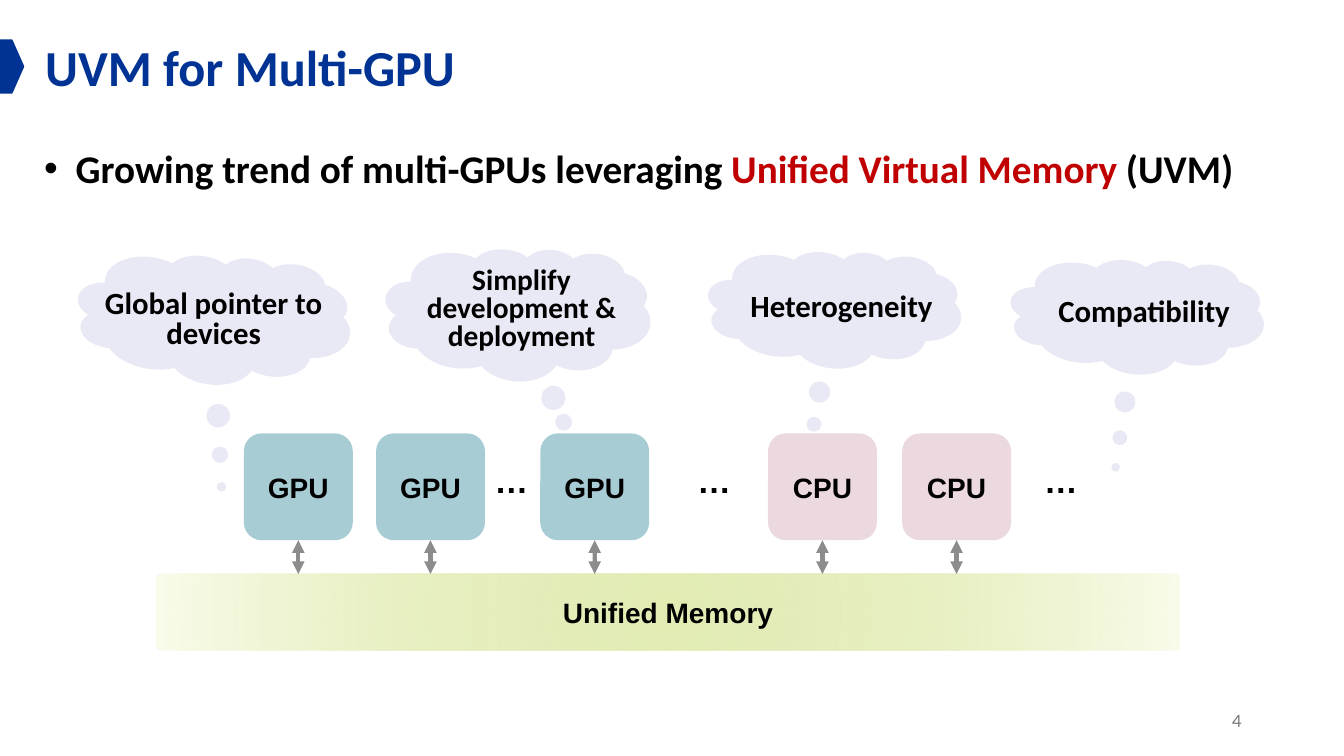
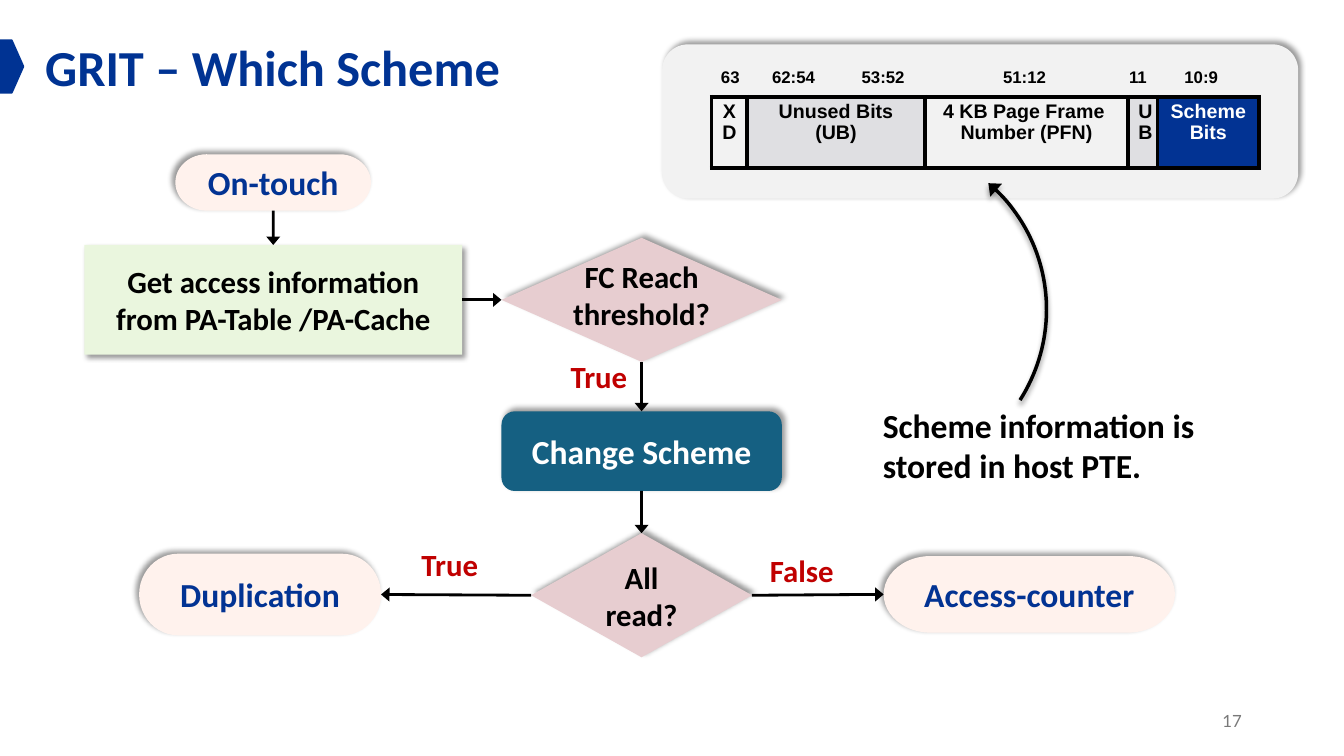
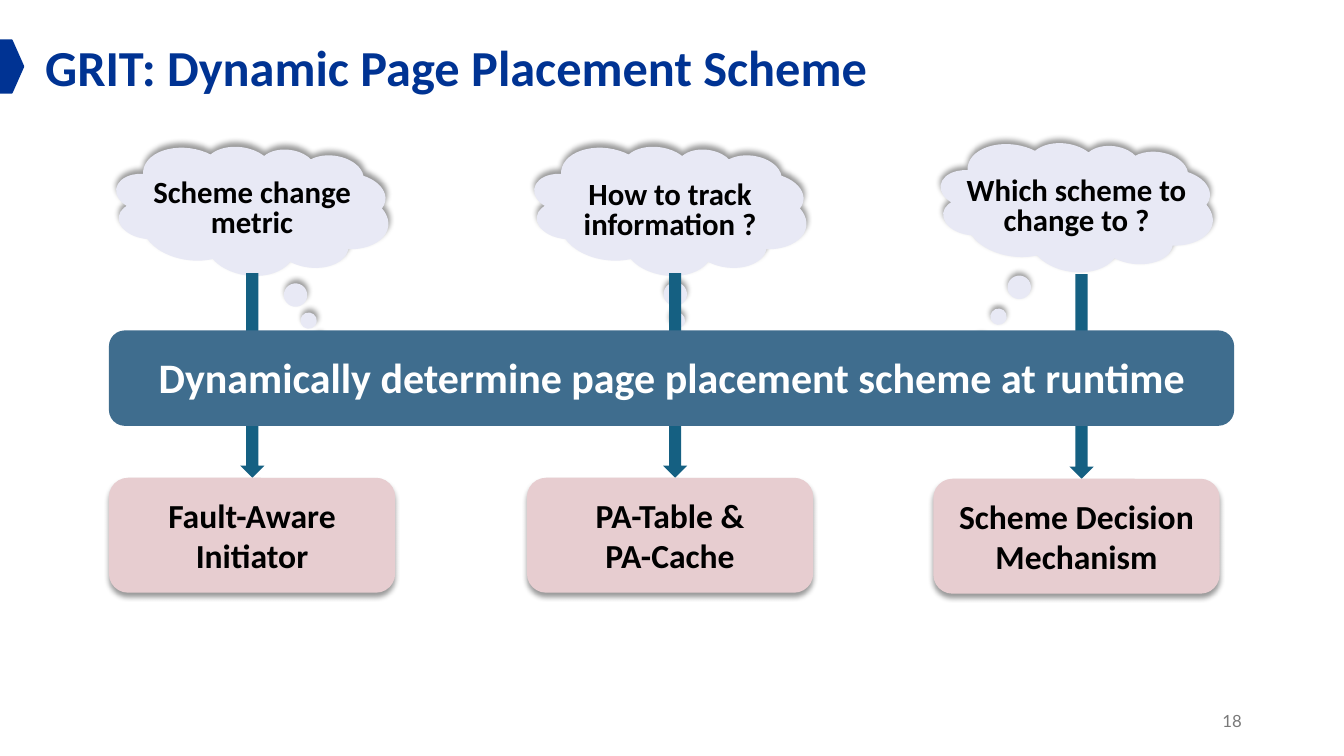
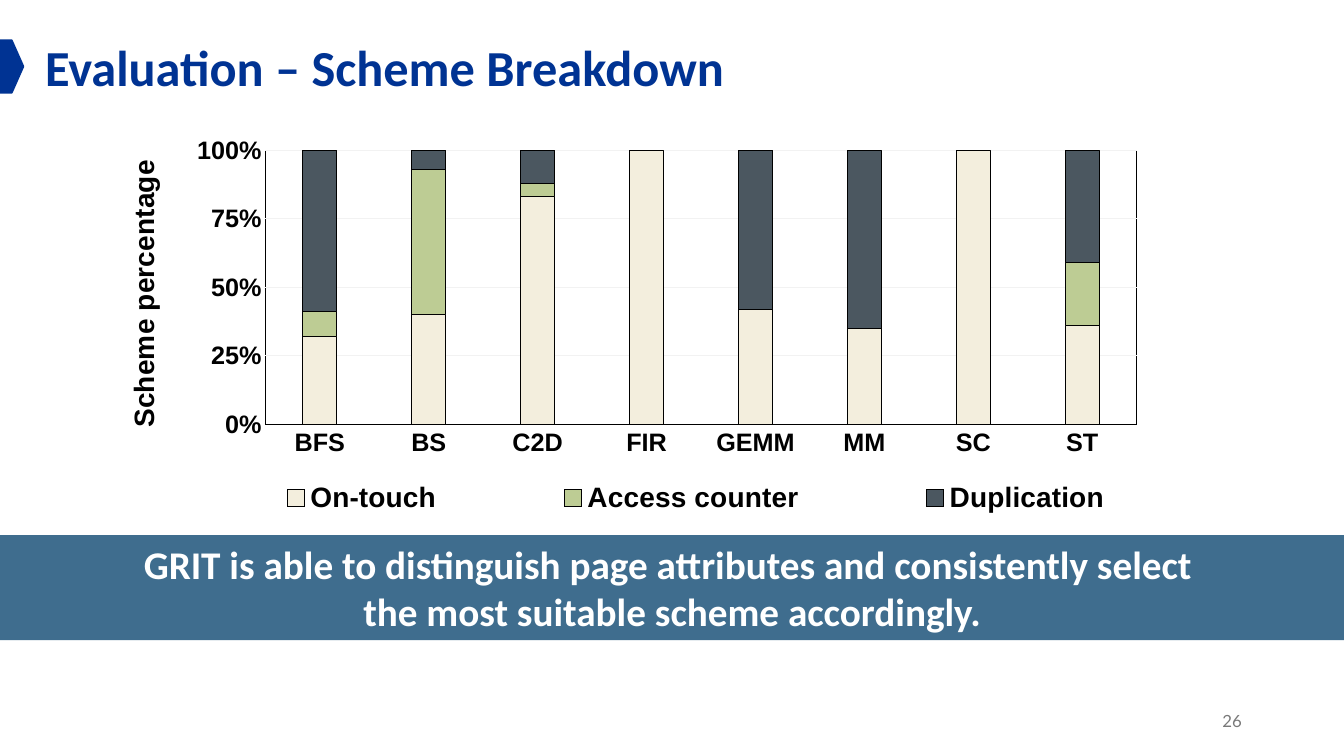
from dataclasses import dataclass
from typing import NamedTuple

from pptx import Presentation
from pptx.chart.data import CategoryChartData
from pptx.dml.color import RGBColor
from pptx.enum.chart import XL_CHART_TYPE, XL_LEGEND_POSITION, XL_TICK_MARK
from pptx.enum.shapes import MSO_CONNECTOR, MSO_SHAPE
from pptx.enum.text import MSO_ANCHOR, PP_ALIGN
from pptx.oxml import parse_xml
from pptx.oxml.ns import nsdecls, qn
from pptx.util import Pt

CENTER, LEFT, RIGHT = PP_ALIGN.CENTER, PP_ALIGN.LEFT, PP_ALIGN.RIGHT
MIDDLE, TOP = MSO_ANCHOR.MIDDLE, MSO_ANCHOR.TOP
STRAIGHT = MSO_CONNECTOR.STRAIGHT
RECTANGLE, ROUNDED = MSO_SHAPE.RECTANGLE, MSO_SHAPE.ROUNDED_RECTANGLE
CLOUD, ARC, PENTAGON = MSO_SHAPE.CLOUD_CALLOUT, MSO_SHAPE.ARC, MSO_SHAPE.PENTAGON
DOWN_ARROW = MSO_SHAPE.DOWN_ARROW
DECISION, TERMINATOR = MSO_SHAPE.FLOWCHART_DECISION, MSO_SHAPE.FLOWCHART_TERMINATOR
STACKED_100 = XL_CHART_TYPE.COLUMN_STACKED_100
LEGEND_BOTTOM = XL_LEGEND_POSITION.BOTTOM
NO_TICKS = XL_TICK_MARK.NONE
TOP_SIDE, LEFT_SIDE, BOTTOM_SIDE, RIGHT_SIDE = range(4)

BLACK = RGBColor(0x00, 0x00, 0x00)
WHITE = RGBColor(0xFF, 0xFF, 0xFF)
TITLE_BLUE = RGBColor(0x00, 0x33, 0x93)
DEEP_BLUE = RGBColor(0x02, 0x33, 0x93)
RED = RGBColor(0xC0, 0x00, 0x00)
NUMBER_GRAY = RGBColor(0x79, 0x79, 0x79)
ARROW_GRAY = RGBColor(0x8C, 0x8C, 0x8C)
PALE_GRAY = RGBColor(0xF2, 0xF2, 0xF2)
CELL_GRAY = RGBColor(0xDF, 0xDF, 0xE2)
LAVENDER = RGBColor(0xE8, 0xE9, 0xF5)
GPU_TEAL = RGBColor(0xA8, 0xCC, 0xD4)
CPU_PINK = RGBColor(0xEC, 0xD9, 0xDF)
ROSE = RGBColor(0xE7, 0xCD, 0xD0)
PEACH = RGBColor(0xFF, 0xF2, 0xED)
MINT = RGBColor(0xEA, 0xF6, 0xDE)
TEAL = RGBColor(0x15, 0x60, 0x82)
STEEL = RGBColor(0x3F, 0x6D, 0x8E)
CREAM = RGBColor(0xF3, 0xEE, 0xDD)
OLIVE = RGBColor(0xBD, 0xCC, 0x94)
SLATE = RGBColor(0x4B, 0x57, 0x60)

PLAIN_TABLE_STYLE = "{2D5ABB26-0587-4C30-8999-92F81FD0307C}"


class Area(NamedTuple):
    """A rectangle in points."""
    left: float
    top: float
    width: float
    height: float

    def lengths(self) -> list:
        return [Pt(value) for value in self]


@dataclass
class Thought:
    text: str
    cloud: Area
    words: Area
    tail: tuple[float, float]
    turn: float = 5.1
    size: float = 22
    shadow: int | None = None


@dataclass
class Node:
    kind: int
    text: str
    area: Area
    fill: RGBColor
    shadow: int
    size: float = 24
    color: RGBColor = BLACK


@dataclass
class Column:
    """One question on top of the mechanism that answers it."""
    thought: Thought
    arrow: Area
    box: Area
    answer: str


@dataclass
class Field:
    """A bit field of the page table entry."""
    text: str
    width: float
    fill: RGBColor | None
    color: RGBColor = BLACK


def write(frame, text: str, *, size: float, font: str = "Calibri", color=BLACK,
          bold: bool = True, align=None, spacing=None, highlight: str = "") -> None:
    """Fill a text frame, one paragraph a line; the highlighted words turn red."""
    frame.word_wrap = True
    for index, line in enumerate(text.split("\n")):
        para = frame.add_paragraph() if index else frame.paragraphs[0]
        para.alignment = align
        para.line_spacing = spacing
        for piece in line.partition(highlight) if highlight else [line]:
            span = para.add_run()
            span.text = piece
            span.font.size = Pt(size)
            span.font.name = font
            span.font.bold = bold
            span.font.color.rgb = RED if piece == highlight else color


def add_text(page, text: str, area: Area, anchor=None, **style):
    box = page.shapes.add_textbox(*area.lengths())
    box.text_frame.vertical_anchor = anchor
    write(box.text_frame, text, **style)
    return box


def add_shape(page, kind, area: Area, fill: RGBColor | None = None, *, line=None,
              line_width: float = 1.5, shadow: int | None = None, turn: float = 0,
              adjust: tuple = ()):
    """Draw a preset shape; shadow is the direction in degrees."""
    shape = page.shapes.add_shape(kind, *area.lengths())
    shape.rotation = turn
    for index, value in enumerate(adjust):
        shape.adjustments[index] = value
    if fill is None:
        shape.fill.background()
    else:
        shape.fill.solid()
        shape.fill.fore_color.rgb = fill
    if line is None:
        shape.line.fill.background()
    else:
        shape.line.color.rgb = line
        shape.line.width = Pt(line_width)
    shape.shadow.inherit = False
    if shadow is not None:
        shape.element.spPr.find(qn("a:effectLst")).append(parse_xml(
            f'<a:outerShdw {nsdecls("a")} blurRad="{Pt(4)}" dist="{Pt(3)}" '
            f'dir="{shadow * 60000}" algn="ctr" rotWithShape="0"><a:srgbClr val="{BLACK}">'
            '<a:alpha val="40000"/></a:srgbClr></a:outerShdw>'))
    return shape


def add_labelled(page, kind, text: str, area: Area, fill: RGBColor, *, size: float,
                 font: str = "Calibri", color=BLACK, align=CENTER, anchor=MIDDLE, **look):
    shape = add_shape(page, kind, area, fill, **look)
    shape.text_frame.vertical_anchor = anchor
    write(shape.text_frame, text, size=size, font=font, color=color, align=align)
    return shape


def add_arrowheads(line_format, *ends: str, width: str = "med") -> None:
    """Put triangles on the ends named headEnd (start) and tailEnd (finish)."""
    for end in ends:
        line_format._get_or_add_ln().append(
            parse_xml(f'<a:{end} {nsdecls("a")} type="triangle" w="{width}"/>'))


def add_arrow(page, start: tuple, finish: tuple, color: RGBColor, width: float, *ends: str,
              head_width: str = "med"):
    arrow = page.shapes.add_connector(
        STRAIGHT, *(Pt(value) for value in (*start, *finish)))
    arrow.line.color.rgb = color
    arrow.line.width = Pt(width)
    add_arrowheads(arrow.line, *ends, width=head_width)
    arrow.element.spPr.append(parse_xml(f'<a:effectLst {nsdecls("a")}/>'))
    return arrow


def link(page, first, first_side: int, second, second_side: int) -> None:
    arrow = add_arrow(page, (0, 0), (0, 0), BLACK, 2, "tailEnd", head_width="lg")
    arrow.begin_connect(first, first_side)
    arrow.end_connect(second, second_side)


def add_thought(page, thought: Thought) -> None:
    add_shape(page, CLOUD, thought.cloud, LAVENDER, line=LAVENDER, turn=thought.turn,
              adjust=thought.tail, shadow=thought.shadow)
    add_text(page, thought.text, thought.words, size=thought.size, align=CENTER, spacing=0.8)


def add_page(deck, title: str, number: int):
    page = deck.slides.add_slide(deck.slide_layouts[6])
    add_text(page, title, Area(25.2, 22.3, 904.3, 51.1), size=36, color=TITLE_BLUE)
    add_shape(page, PENTAGON, Area(0, 28.8, 16.6, 37.4), TITLE_BLUE, line=TITLE_BLUE)
    add_text(page, str(number), Area(678.2, 500.4, 216, 28.8), MIDDLE, size=12,
             font="Lato", color=NUMBER_GRAY, bold=False, align=RIGHT)
    return page


def fade_out(shape) -> None:
    """Give a shape a round gradient that pales towards its rim."""
    shape.fill.background()
    properties = shape.element.spPr
    properties.replace(properties.find(qn("a:noFill")), parse_xml(
        f'<a:gradFill {nsdecls("a")} rotWithShape="1"><a:gsLst>'
        '<a:gs pos="0"><a:srgbClr val="E2ECB3"/></a:gs>'
        '<a:gs pos="50000"><a:srgbClr val="E2ECB3"><a:alpha val="80000"/></a:srgbClr></a:gs>'
        '<a:gs pos="100000"><a:srgbClr val="FAFCEB"/></a:gs></a:gsLst>'
        '<a:path path="circle"><a:fillToRect l="50000" t="50000" r="50000" b="50000"/>'
        '</a:path></a:gradFill>'))


def build_memory_page(deck) -> None:
    page = add_page(deck, "UVM for Multi-GPU", 4)
    trend = add_text(page, "Growing trend of multi-GPUs leveraging Unified Virtual Memory (UVM)",
                     Area(24.5, 99.4, 921.6, 74.9), size=28,
                     highlight="Unified Virtual Memory ")
    bullet = trend.text_frame.paragraphs[0]._p.get_or_add_pPr()
    bullet.set("marL", str(Pt(22.5)))
    bullet.set("indent", str(-Pt(22.5)))
    bullet.append(parse_xml(f'<a:buFont {nsdecls("a")} typeface="Arial"/>'))
    bullet.append(parse_xml(f'<a:buChar {nsdecls("a")} char="•"/>'))

    for thought in (
        Thought("Global pointer to devices", Area(55.4, 182.2, 194.4, 91.4),
                Area(66.8, 204.5, 171.4, 50.4), (0.108, 1.293), turn=7.4),
        Thought("Simplify development & deployment", Area(275.5, 177, 188.6, 94.3),
                Area(286.8, 187.7, 171.4, 69.1), (0.244, 0.914), size=21),
        Thought("Heterogeneity", Area(506, 179.3, 180, 82.8),
                Area(509.6, 206.2, 182.9, 28.8), (-0.049, 1.232)),
        Thought("Compatibility", Area(722.2, 185, 180, 81.4),
                Area(731.5, 209.9, 171.4, 28.8), (-0.031, 1.339)),
    ):
        add_thought(page, thought)

    memory = Area(111.8, 410, 730.8, 54.7)
    fade_out(add_labelled(page, ROUNDED, "Unified Memory", memory, WHITE, size=20,
                          font="Arial", adjust=(0.081,)))
    for text, fill, lefts in (("GPU", GPU_TEAL, (174.2, 268.6, 385.9)),
                              ("CPU", CPU_PINK, (548.6, 644.4))):
        for left in lefts:
            area = Area(left, 309.6, 77.8, 76.3)
            processor = add_labelled(page, ROUNDED, text, area, fill, size=20, font="Arial")
            middle = left + area.width / 2
            arrow = add_arrow(page, (middle, area.top + area.height), (middle, memory.top),
                              ARROW_GRAY, 3, "headEnd", "tailEnd")
            arrow.begin_connect(processor, BOTTOM_SIDE)
    for left in (346.3, 491, 738.7):
        add_text(page, "…", Area(left, 324.7, 30.2, 36), size=24, font="Arial")


def add_row(page, area: Area, widths: list[float]) -> list:
    """Add a plain table of one row and return its cells."""
    table = page.shapes.add_table(1, len(widths), *area.lengths()).table
    table.first_row = table.horz_banding = False
    table._tbl.tblPr.find(qn("a:tableStyleId")).text = PLAIN_TABLE_STYLE
    table.rows[0].height = Pt(area.height)
    for column, width in zip(table.columns, widths):
        column.width = Pt(width)
    return list(table.rows[0].cells)


def add_borders(cell, width: float) -> None:
    properties = cell._tc.get_or_add_tcPr()
    for index, side in enumerate(("lnL", "lnR", "lnT", "lnB")):
        properties.insert(index, parse_xml(
            f'<a:{side} {nsdecls("a")} w="{Pt(width)}"><a:solidFill>'
            f'<a:srgbClr val="{BLACK}"/></a:solidFill></a:{side}>'))


def add_entry_table(page) -> None:
    fields = [
        Field("XD", 25.4, None),
        Field("Unused Bits (UB)", 126.9, CELL_GRAY),
        Field("4 KB Page Frame \nNumber (PFN)", 145.4, None),
        Field("UB", 20.9, CELL_GRAY),
        Field("Scheme Bits", 72.5, DEEP_BLUE, WHITE),
    ]
    widths = [field.width for field in fields]
    for field, cell in zip(fields, add_row(page, Area(508.3, 69.1, sum(widths), 51.1), widths)):
        if field.fill is None:
            cell.fill.background()
        else:
            cell.fill.solid()
            cell.fill.fore_color.rgb = field.fill
        add_borders(cell, 3)
        write(cell.text_frame, field.text, size=14, font="Arial", color=field.color,
              align=CENTER, spacing=Pt(14.8))

    (ruler,) = add_row(page, Area(508.3, 43.5, 418.3, 20.9), [418.3])
    ruler.fill.background()
    ruler.margin_left, ruler.margin_right = Pt(6.7), 0
    write(ruler.text_frame, "63\t62:54\t53:52\t51:12\t11\t10:9", size=12, font="Arial",
          spacing=Pt(14.8))
    stops = "".join(f'<a:tab pos="{Pt(stop)}" algn="l"/>'
                    for stop in (36.5, 100.5, 201.5, 291.5, 331))
    ruler.text_frame.paragraphs[0]._p.get_or_add_pPr().append(
        parse_xml(f'<a:tabLst {nsdecls("a")}>{stops}</a:tabLst>'))


def build_scheme_page(deck) -> None:
    page = add_page(deck, "GRIT – Which Scheme", 17)
    add_shape(page, ROUNDED, Area(473, 31.7, 454.3, 110.2), PALE_GRAY, shadow=315)
    add_entry_table(page)

    nodes = [
        Node(TERMINATOR, "On-touch", Area(125.3, 110.2, 139.7, 40.3), PEACH, 225,
             color=DEEP_BLUE),
        Node(RECTANGLE, "Get access information from PA-Table /PA-Cache",
             Area(60.2, 175, 270, 78.4), MINT, 45, 22),
        Node(DECISION, "FC Reach threshold?", Area(358.2, 169.9, 200.2, 88.6), ROSE, 315, 22),
        Node(ROUNDED, "Change Scheme", Area(358.2, 293.8, 200.2, 56.9), TEAL, 315,
             color=WHITE),
        Node(DECISION, "All read?", Area(379.4, 380.9, 157.7, 88.6), ROSE, 315, 22),
        Node(TERMINATOR, "Duplication", Area(99.4, 395.5, 172.8, 58.3), PEACH, 225,
             color=DEEP_BLUE),
        Node(TERMINATOR, "Access-counter", Area(631.2, 397.2, 208.1, 54.7), PEACH, 225,
             color=DEEP_BLUE),
    ]
    on_touch, access, reach, change, all_read, duplication, counter = [
        add_labelled(page, node.kind, node.text, node.area, node.fill, size=node.size,
                     color=node.color, shadow=node.shadow) for node in nodes]
    frame = reach.text_frame
    frame.margin_left = frame.margin_top = frame.margin_right = 0
    frame.margin_bottom = Pt(7.2)

    for first, first_side, second, second_side in (
        (on_touch, BOTTOM_SIDE, access, TOP_SIDE),
        (access, RIGHT_SIDE, reach, LEFT_SIDE),
        (reach, BOTTOM_SIDE, change, TOP_SIDE),
        (change, BOTTOM_SIDE, all_read, TOP_SIDE),
        (all_read, LEFT_SIDE, duplication, RIGHT_SIDE),
        (all_read, RIGHT_SIDE, counter, LEFT_SIDE),
    ):
        link(page, first, first_side, second, second_side)
    for text, left, top in (("True", 400.6, 252), ("True", 294, 386.6),
                            ("False", 542.9, 390.6)):
        add_text(page, text, Area(left, top, 72, 33.8), size=22, color=RED)

    add_labelled(page, RECTANGLE, "Scheme information is stored in host PTE.",
                 Area(623.5, 285.8, 275.8, 65.5), WHITE, size=24, align=LEFT, anchor=TOP)
    arc = add_shape(page, ARC, Area(511.9, 103, 235.4, 238.3), line=BLACK, line_width=2.5,
                    turn=24.6, adjust=(171.2, 4.875), shadow=90)
    add_arrowheads(arc.line, "headEnd", width="lg")


def build_placement_page(deck) -> None:
    page = add_page(deck, "GRIT: Dynamic Page Placement Scheme", 18)

    def column(question: str, answer: str, left: float, cloud_top: float, words_top: float,
               arrow_left: float, tail: tuple[float, float], box_top: float = 341.3) -> Column:
        thought = Thought(question, Area(left + 5, cloud_top, 194.4, 91.4),
                          Area(left + 16.5, words_top, 171.4, 50.4), tail, 7.4, shadow=270)
        return Column(thought, Area(arrow_left, box_top - 146.2, 17.3, 146.2),
                      Area(left, box_top, 204.5, 82.1), answer)

    for item in (
        column("Scheme change\nmetric", "Fault-Aware Initiator",
               77.8, 104.4, 125.3, 171.6, (0.304, 0.939)),
        column("How to track information ?", "PA-Table &\nPA-Cache",
               376.4, 104.4, 126.7, 473.6, (0.091, 0.997)),
        column("Which scheme to change to ?", "Scheme Decision Mechanism",
               666.7, 101.8, 123.8, 763.9, (-0.281, 1.132), 342),
    ):
        add_thought(page, item.thought)
        add_shape(page, DOWN_ARROW, item.arrow, TEAL)
        add_labelled(page, ROUNDED, item.answer, item.box, ROSE, size=24, shadow=90)
    add_shape(page, ROUNDED, Area(77.8, 236, 803.8, 68.2), STEEL)
    add_text(page, "Dynamically determine page placement scheme at runtime",
             Area(65.5, 247.7, 829.4, 43.9), size=30, color=WHITE, align=CENTER)


def set_font(font, size: float) -> None:
    font.size = Pt(size)
    font.name = "Arial"
    font.bold = True
    font.color.rgb = BLACK


def set_layout(parent, index: int, target: str = "", **places: float) -> None:
    """Place a chart part by fractions of the chart's size."""
    for old in parent.findall(qn("c:layout")):
        parent.remove(old)
    inner = f'<c:layoutTarget val="{target}"/>' if target else ""
    inner += '<c:xMode val="edge"/><c:yMode val="edge"/>'
    inner += "".join(f'<c:{name} val="{value}"/>' for name, value in places.items())
    parent.insert(index, parse_xml(
        f'<c:layout {nsdecls("c")}><c:manualLayout>{inner}</c:manualLayout></c:layout>'))


def add_breakdown_chart(page) -> None:
    series_rows = [
        ("On-touch", (32, 40, 83, 100, 42, 35, 100, 36), CREAM),
        ("Access counter", (9, 53, 5, 0, 0, 0, 0, 23), OLIVE),
        ("Duplication", (59, 7, 12, 0, 58, 65, 0, 41), SLATE),
    ]
    data = CategoryChartData()
    data.categories = ["BFS", "BS", "C2D", "FIR", "GEMM", "MM", "SC", "ST"]
    for name, values, _ in series_rows:
        data.add_series(name, values)
    area = Area(51.8, 83.8, 856.1, 298.8)
    chart = page.shapes.add_chart(STACKED_100, *area.lengths(), data).chart
    chart.has_title = False
    set_font(chart.font, 16)

    plot = chart.plots[0]
    plot.gap_width, plot.overlap, plot.vary_by_categories = 219, 100, False
    for series, (_, _, color) in zip(plot.series, series_rows):
        series.format.fill.solid()
        series.format.fill.fore_color.rgb = color
        series.format.line.color.rgb = BLACK
        series.format.line.width = Pt(0.75)

    categories, percent = chart.category_axis, chart.value_axis
    for axis in (categories, percent):
        axis.major_tick_mark = axis.minor_tick_mark = NO_TICKS
        set_font(axis.tick_labels.font, 18)
    categories.format.line.color.rgb = BLACK
    categories.format.line.width = Pt(0.75)
    percent.format.line.fill.background()
    percent.minimum_scale, percent.maximum_scale, percent.major_unit = 0, 1, 0.25
    percent.tick_labels.number_format = "0%"
    percent.tick_labels.number_format_is_linked = False
    percent.major_gridlines.format.line.color.rgb = PALE_GRAY
    percent.major_gridlines.format.line.width = Pt(0.75)

    frame = percent.axis_title.text_frame
    frame.text = "Scheme percentage"
    set_font(frame.paragraphs[0].runs[0].font, 20)
    frame._txBody.bodyPr.set("rot", "-5400000")
    frame._txBody.bodyPr.set("vert", "horz")
    set_layout(percent.axis_title._element, 1, x=0.04, y=0.09)

    chart.has_legend = True
    chart.legend.position = LEGEND_BOTTOM
    chart.legend.include_in_layout = False
    set_font(chart.legend.font, 20)
    set_layout(chart.legend._element, 1, x=0.08, y=0.86, w=0.88, h=0.1)

    plot_area = chart._chartSpace.chart.plotArea
    set_layout(plot_area, 0, "inner", x=0.161, y=0.079, w=0.727, h=0.655)
    plot_area.append(parse_xml(
        f'<c:spPr {nsdecls("c", "a")}><a:noFill/><a:ln w="{Pt(0.75)}"><a:solidFill>'
        f'<a:srgbClr val="{BLACK}"/></a:solidFill></a:ln></c:spPr>'))


def build_evaluation_page(deck) -> None:
    page = add_page(deck, "Evaluation – Scheme Breakdown", 26)
    add_labelled(page, RECTANGLE,
                 "GRIT is able to distinguish page attributes and consistently select \n"
                 "the most suitable scheme accordingly.",
                 Area(0, 382.3, 960, 75), STEEL, size=28, color=WHITE, anchor=TOP)
    add_breakdown_chart(page)


def main() -> None:
    deck = Presentation()
    deck.slide_width, deck.slide_height = Pt(960), Pt(540)
    build_memory_page(deck)
    build_scheme_page(deck)
    build_placement_page(deck)
    build_evaluation_page(deck)
    deck.save("out.pptx")


if __name__ == "__main__":
    main()
